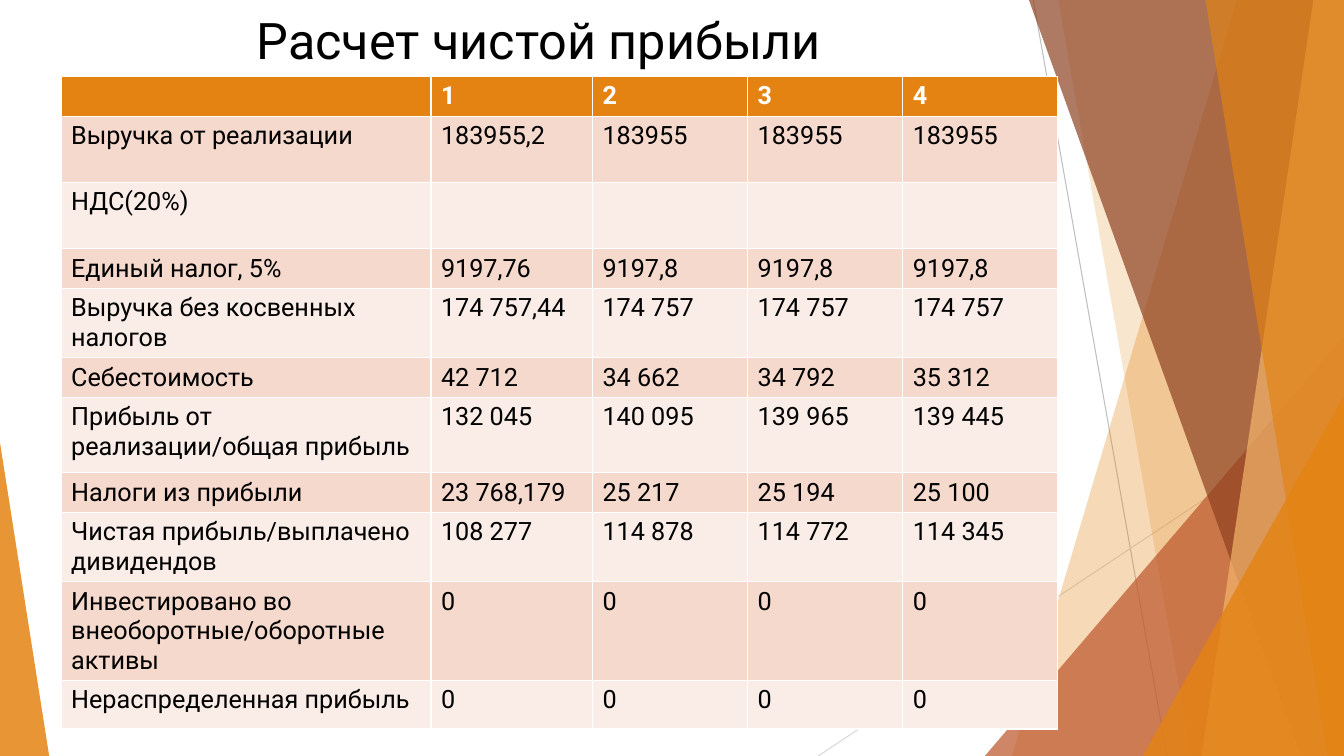
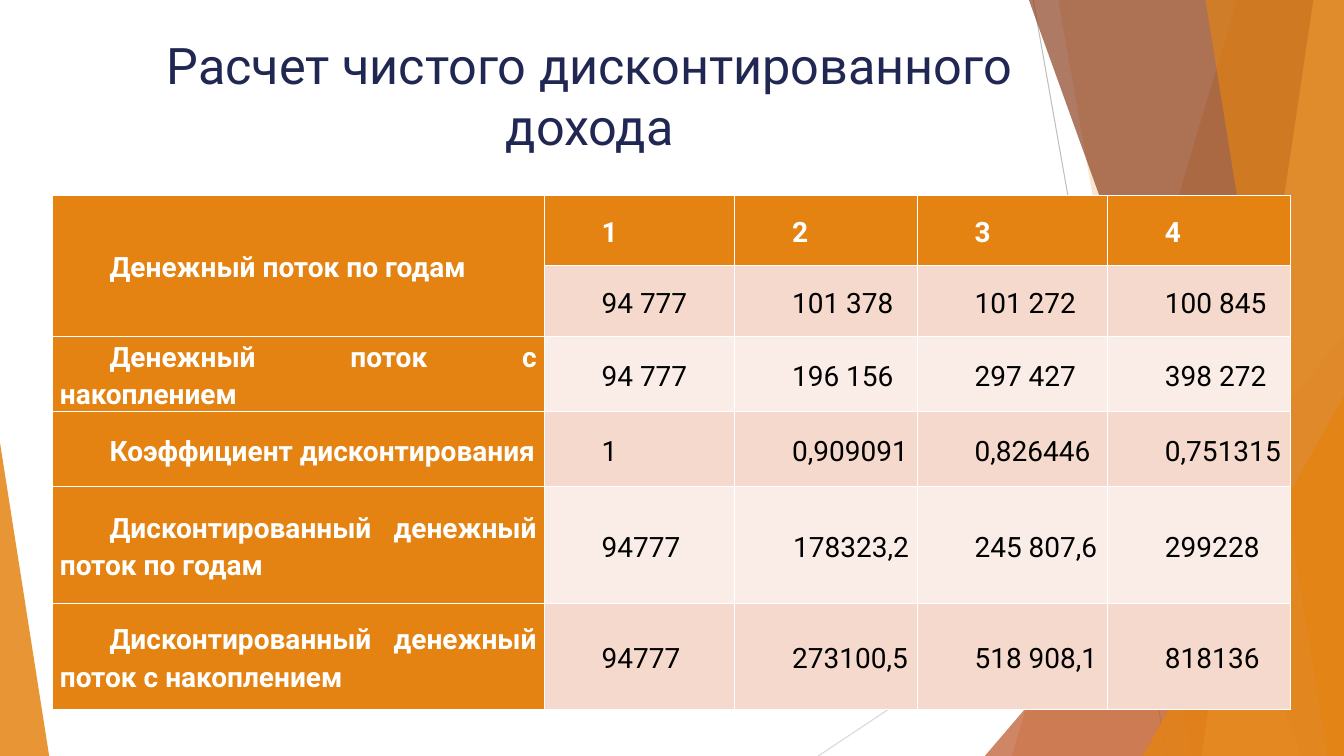
from pptx import Presentation
from pptx.dml.color import RGBColor
from pptx.enum import shapes, text
from pptx.oxml import parse_xml
from pptx.oxml.ns import nsdecls, qn
from pptx.util import Cm, Pt

WIDTH, HEIGHT = Cm(33.87), Cm(19.05)
FONT = "Roboto"
ORANGE = RGBColor(0xE4, 0x83, 0x12)
PEACH = RGBColor(0xF3, 0xB5, 0x6C)
RUST = RGBColor(0xBD, 0x58, 0x2C)
BROWN = RGBColor(0x8E, 0x42, 0x21)
DARK_BAND = RGBColor(0xF5, 0xD9, 0xCC)
LIGHT_BAND = RGBColor(0xFA, 0xED, 0xE7)
GREY = RGBColor(0xBF, 0xBF, 0xBF)
LIGHT_GREY = RGBColor(0xD9, 0xD9, 0xD9)
NAVY = RGBColor(0x21, 0x27, 0x53)
BLACK = RGBColor(0, 0, 0)
WHITE = RGBColor(0xFF, 0xFF, 0xFF)

PROFIT_ROWS = [
    ["", "1", "2", "3", "4"],
    ["Выручка от реализации", "183955,2", "183955", "183955", "183955"],
    ["НДС(20%)", "", "", "", ""],
    ["Единый налог, 5%", "9197,76", "9197,8", "9197,8", "9197,8"],
    ["Выручка без косвенных налогов", "174 757,44", "174 757", "174 757", "174 757"],
    ["Себестоимость", "42 712", "34 662", "34 792", "35 312"],
    ["Прибыль от реализации/общая прибыль", "132 045", "140 095", "139 965", "139 445"],
    ["Налоги из прибыли", "23 768,179", "25 217", "25 194", "25 100"],
    ["Чистая прибыль/выплачено дивидендов", "108 277", "114 878", "114 772", "114 345"],
    ["Инвестировано во внеоборотные/оборотные активы", "0", "0", "0", "0"],
    ["Нераспределенная прибыль", "0", "0", "0", "0"],
]
INCOME_ROWS = [
    ["Денежный поток по годам", "1", "2", "3", "4"],
    ["", "94 777", "101 378", "101 272", "100 845"],
    ["Денежный поток с накоплением", "94 777", "196 156", "297 427", "398 272"],
    ["Коэффициент дисконтирования", "1", "0,909091", "0,826446", "0,751315"],
    ["Дисконтированный денежный поток по годам",
     "94777", "178323,2", "245 807,6", "299228"],
    ["Дисконтированный денежный поток с накоплением",
     "94777", "273100,5", "518 908,1", "818136"],
]


def paint(shape, color, opacity):
    """Fill a shape with a colour at the given opacity in percent."""
    shape.shadow.inherit = False
    shape.line.fill.background()
    shape.fill.solid()
    shape.fill.fore_color.rgb = color
    color_element = shape.fill._xPr.find(".//" + qn("a:srgbClr"))
    color_element.append(
        parse_xml(f'<a:alpha {nsdecls("a")} val="{opacity * 1000}"/>'))


def add_hairline(group, start, end, color):
    points = [Cm(value) for value in (*start, *end)]
    line = group.shapes.add_connector(shapes.MSO_CONNECTOR.STRAIGHT, *points)
    line.line.color.rgb = color
    line.line.width = Pt(0.75)
    line._element.spPr.append(parse_xml(f'<a:effectLst {nsdecls("a")}/>'))


def add_wedge(group, top_x, bottom_x, color, opacity):
    """Full-height shape between a slanted left edge and the slide's right edge."""
    builder = group.shapes.build_freeform(Cm(top_x), 0)
    builder.add_line_segments(
        [(WIDTH, 0), (WIDTH, HEIGHT), (Cm(bottom_x), HEIGHT)])
    paint(builder.convert_to_shape(), color, opacity)


def add_corner(group, left, width, height, apex, color, opacity):
    """Triangle standing on the slide's bottom edge."""
    triangle = group.shapes.add_shape(
        shapes.MSO_SHAPE.ISOSCELES_TRIANGLE,
        Cm(left), HEIGHT - Cm(height), Cm(width), Cm(height))
    triangle.adjustments[0] = apex
    paint(triangle, color, opacity)


def decorate_layout(slide):
    """Draw the facets on a slide and move them to its layout for all slides."""
    group = slide.shapes.add_group_shape()
    add_hairline(group, (26.04, 0), (29.41, 19.05), GREY)
    add_hairline(group, (33.87, 10.24), (20.62, 19.05), LIGHT_GREY)
    add_wedge(group, 31.17, 25.5, ORANGE, 30)
    add_wedge(group, 26.67, 30.02, ORANGE, 20)
    add_corner(group, 24.82, 9.05, 10.59, 1, RUST, 72)
    add_wedge(group, 25.93, 32.79, BROWN, 70)
    add_wedge(group, 33.1, 30.28, PEACH, 70)
    add_wedge(group, 30.38, 33.45, ORANGE, 65)
    add_corner(group, 28.8, 5.07, 9.07, 1, ORANGE, 80)
    add_corner(group, 0, 1.24, 7.9, 0, ORANGE, 85)
    element = group._element
    for number, properties in enumerate(element.iter(qn("p:cNvPr")), 100):
        properties.set("id", str(number))
    slide.slide_layout.shapes.element.insert(2, element)


def set_title(slide, wording, left, top, color):
    title = slide.shapes.title
    title.left, title.top = Cm(left), Cm(top)
    title.width, title.height = Cm(23.88), Cm(3.66)
    frame = title.text_frame
    frame.text = wording
    frame.word_wrap = True
    frame.auto_size = text.MSO_AUTO_SIZE.NONE
    frame.vertical_anchor = text.MSO_ANCHOR.TOP
    paragraph = frame.paragraphs[0]
    paragraph.alignment = text.PP_ALIGN.CENTER
    set_font(paragraph, 36, color)
    return frame


def set_font(paragraph, size, color, bold=False):
    font = paragraph.font
    font.name, font.size, font.bold = FONT, Pt(size), bold
    font.color.rgb = color


def add_data_table(slide, left, top, widths, heights, rows, size, label_header=False):
    """Banded table; label_header colours the first column like the header row."""
    frame = slide.shapes.add_table(
        len(rows), len(widths), Cm(left), Cm(top), Cm(sum(widths)), Cm(sum(heights)))
    table = frame.table
    table.first_col = label_header
    for column, width in zip(table.columns, widths):
        column.width = Cm(width)
    for row, height in zip(table.rows, heights):
        row.height = Cm(height)
    for row_index, values in enumerate(rows):
        band = DARK_BAND if row_index % 2 else LIGHT_BAND
        for column_index, value in enumerate(values):
            header = row_index == 0 or (label_header and column_index == 0)
            cell = table.cell(row_index, column_index)
            cell.text = value
            cell.fill.solid()
            cell.fill.fore_color.rgb = ORANGE if header else band
            set_font(cell.text_frame.paragraphs[0], size,
                     WHITE if header else BLACK, header)
    return table


def justify_cells(table):
    for cell in table.iter_cells():
        cell.vertical_anchor = text.MSO_ANCHOR.MIDDLE
        cell.margin_left = cell.margin_right = Cm(0.19)
        cell.margin_top = cell.margin_bottom = 0
        paragraph = cell.text_frame.paragraphs[0]
        paragraph.alignment = text.PP_ALIGN.JUSTIFY
        paragraph.line_spacing = 1.15
        properties = paragraph._p.get_or_add_pPr()
        properties.set("marL", "0")
        properties.set("indent", str(Cm(1.25)))


def build_profit_slide(slide):
    title = set_title(slide, "Расчет чистой прибыли", 2.16, 0.1, BLACK)
    title.margin_right = Cm(1.3)
    add_data_table(
        slide, 1.54, 1.93, [9.32, 4.07, 3.91, 3.91, 3.91],
        [0.97, 1.67, 1.67, 0.97, 1.55, 0.97, 1.9, 0.97, 1.55, 2.21, 1.22],
        PROFIT_ROWS, 18)


def build_income_slide(slide):
    set_title(slide, "Расчет чистого дисконтированного дохода", 2.92, 0.74, NAVY)
    table = add_data_table(
        slide, 1.32, 4.93, [12.4, 4.8, 4.6, 4.8, 4.6],
        [1.77, 1.77, 1.77, 1.88, 2.95, 2.67], INCOME_ROWS, 20, label_header=True)
    justify_cells(table)
    table.cell(4, 2).text_frame.paragraphs[0].alignment = text.PP_ALIGN.CENTER
    table.cell(0, 0).merge(table.cell(1, 0))


def main():
    presentation = Presentation()
    presentation.slide_width, presentation.slide_height = WIDTH, HEIGHT
    layout = presentation.slide_layouts.get_by_name("Title Only")
    profit_slide = presentation.slides.add_slide(layout)
    decorate_layout(profit_slide)
    build_profit_slide(profit_slide)
    build_income_slide(presentation.slides.add_slide(layout))
    presentation.save("out.pptx")


if __name__ == "__main__":
    main()
